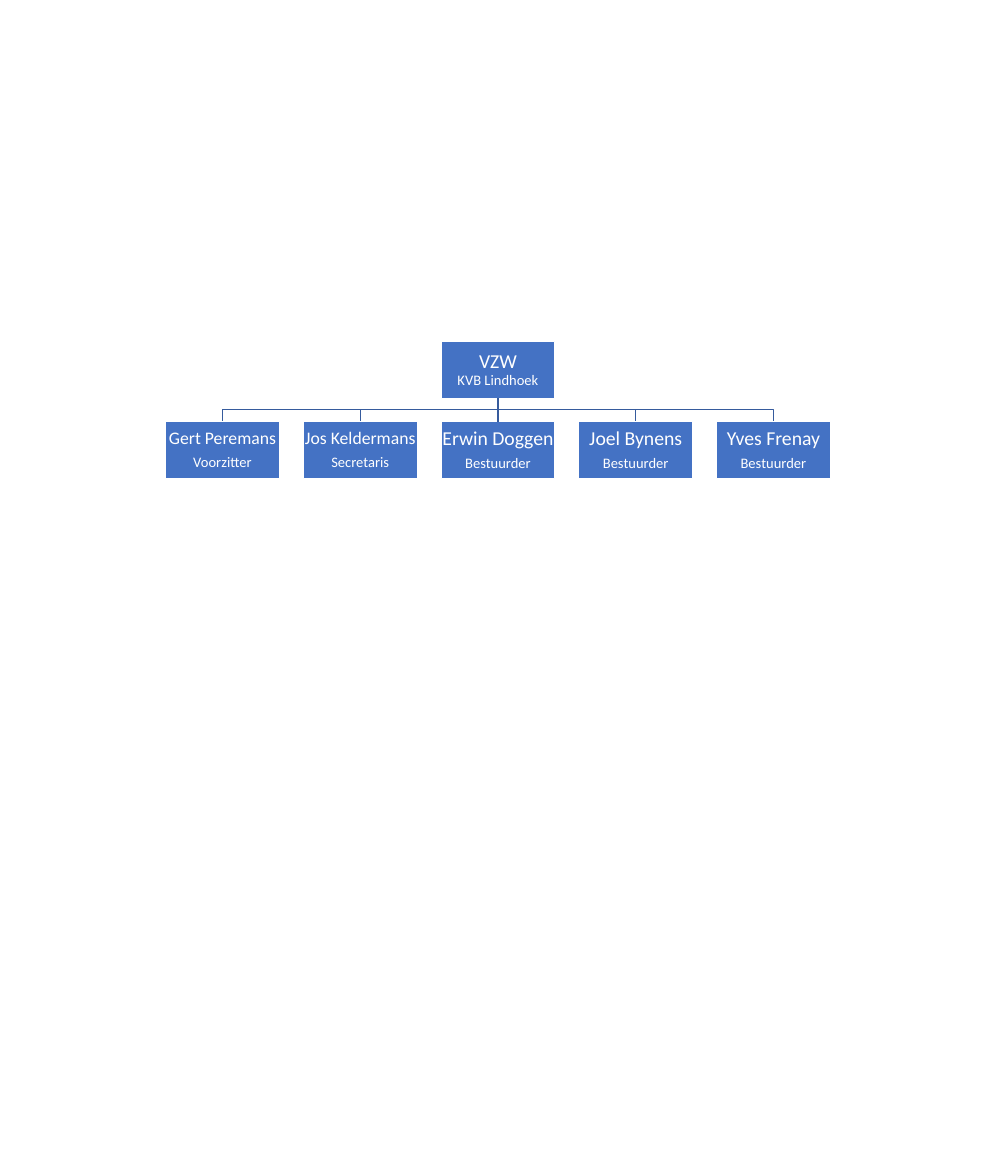
from dataclasses import dataclass

from lxml import etree
from pptx import Presentation
from pptx import util as u
from pptx.dml.color import RGBColor
from pptx.enum import shapes, text
from pptx.oxml.ns import qn

SCALE = 9525  # EMU per px, 96 px to the inch


@dataclass(frozen=True)
class Theme:
    font: str = "Calibri"
    fill: RGBColor = RGBColor(0x44, 0x72, 0xC4)
    link: RGBColor = RGBColor(0x36, 0x5B, 0x9D)
    white: RGBColor = RGBColor(0xFF, 0xFF, 0xFF)
    large: int = 19
    mid: int = 17
    small: int = 14
    gap: int = 6
    line: int = 1


class Chart:
    """Draws boxes and links on one slide, in px."""

    def __init__(self, slide, theme):
        self.slide, self.theme = slide, theme

    def box(self, mid, top, wide, high, label, size):
        """Adds a box centred on mid; its first run takes size, the rest are small."""
        t = self.theme
        node = self.slide.shapes.add_shape(
            shapes.MSO_SHAPE.RECTANGLE,
            *(v * SCALE for v in (mid - wide // 2, top, wide, high)))
        node.shadow.inherit = False
        node.fill.solid()
        node.fill.fore_color.rgb = t.fill
        self.pen(node.line, t.white)
        frame = node.text_frame
        frame.word_wrap = True
        frame.vertical_anchor = text.MSO_ANCHOR.MIDDLE
        frame.margin_left = frame.margin_right = SCALE
        frame.margin_top = frame.margin_bottom = SCALE
        frame.text = label
        for par in frame.paragraphs:
            par.alignment = text.PP_ALIGN.CENTER
            par.line_spacing = 0.9
        for par in frame.paragraphs[:-1]:
            par.space_after = u.Pt(t.gap)
        runs = [run for par in frame.paragraphs for run in par.runs]
        for i, run in enumerate(runs):
            run.font.name = t.font
            run.font.size = u.Pt(t.small if i else size)
            run.font.color.rgb = t.white
        return node

    def pen(self, line, color):
        line.color.rgb = color
        line.width = u.Pt(self.theme.line)

    def bend(self, start, end):
        """Adds a link that goes down, across and down again."""
        (x, y), (to, low) = start, end
        turn = (y + low) // 2
        form = self.slide.shapes.build_freeform(x, y, scale=SCALE)
        form.add_line_segments([(x, turn), (to, turn), (to, low)], close=False)
        link = form.convert_to_shape()
        link.shadow.inherit = False
        link.fill.background()
        self.pen(link.line, self.theme.link)

    def join(self, head, node):
        """Adds a straight link from the foot of head to the top of node."""
        link = self.slide.shapes.add_connector(
            shapes.MSO_CONNECTOR.STRAIGHT, 0, 0, 0, 0)
        link.begin_connect(head, 2)
        link.end_connect(node, 0)
        self.pen(link.line, self.theme.link)
        etree.SubElement(link._element.spPr, qn("a:effectLst"))


def main():
    deck = Presentation()
    deck.slide_width, deck.slide_height = 1280 * SCALE, 1512 * SCALE
    theme = Theme()
    chart = Chart(deck.slides.add_slide(deck.slide_layouts[6]), theme)

    mid, wide, high, step = 640, 146, 73, 177
    top, low = 439, 542
    board = [
        ("Gert Peremans", "Voorzitter", theme.mid),
        ("Jos Keldermans", "Secretaris", theme.mid),
        ("Erwin Doggen", "Bestuurder", theme.large),
        ("Joel Bynens", "Bestuurder", theme.large),
        ("Yves Frenay", "Bestuurder", theme.large),
    ]
    half = len(board) // 2
    spots = [mid + (i - half) * step for i in range(len(board))]

    for spot in spots:
        if spot != mid:
            chart.bend((mid, top + high), (spot, low))
    head = chart.box(mid, top, wide, high, "VZW\vKVB Lindhoek", theme.large)
    for spot, (name, role, size) in zip(spots, board):
        node = chart.box(spot, low, wide, high, f"{name}\n{role}", size)
        if spot == mid:
            chart.join(head, node)

    deck.save("out.pptx")


if __name__ == "__main__":
    main()
